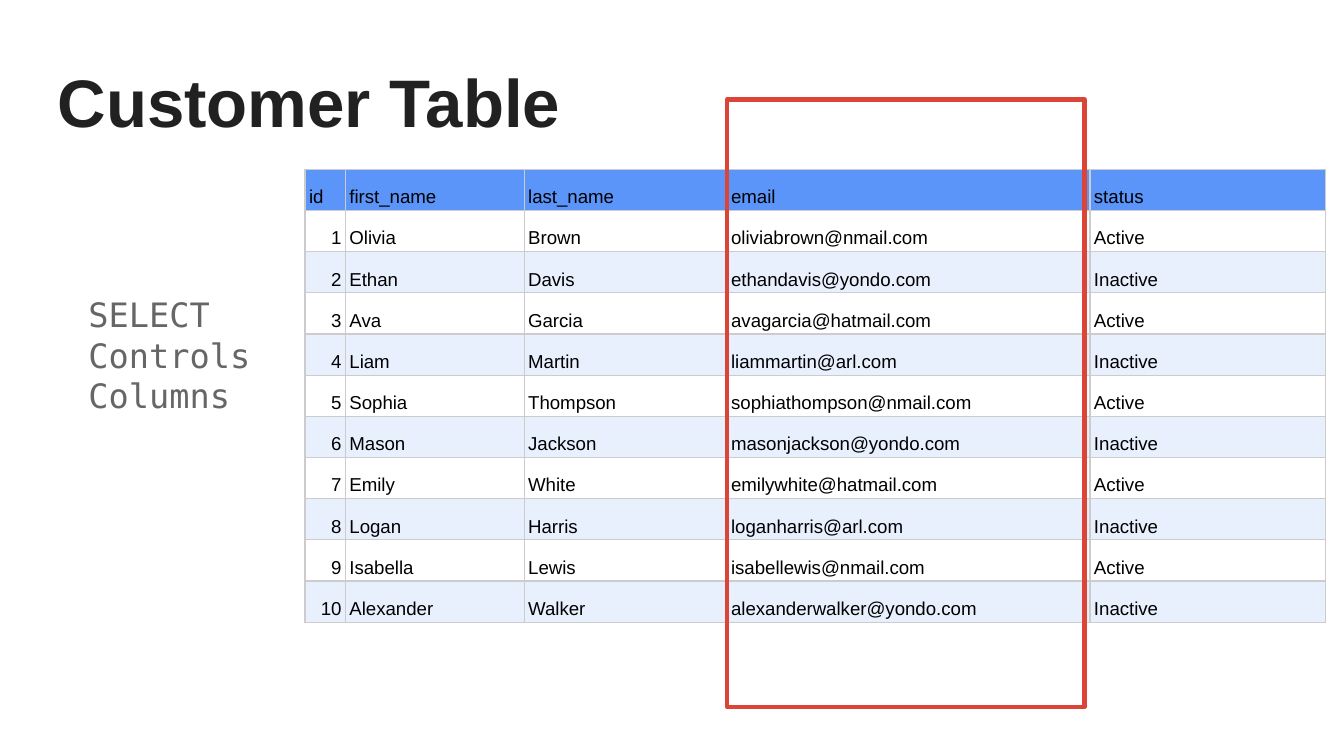
from lxml.etree import SubElement
from pptx import Presentation
from pptx.dml.color import RGBColor
from pptx.enum.shapes import MSO_SHAPE
from pptx.enum.text import MSO_ANCHOR, PP_ALIGN
from pptx.oxml import parse_xml
from pptx.oxml.ns import nsdecls, qn
from pptx.util import Inches, Pt

TITLE = "Customer Table"
CAPTION = ["SELECT", "Controls", "Columns"]
CUSTOMERS = [
    ("id", "first_name", "last_name", "email", "status"),
    ("1", "Olivia", "Brown", "oliviabrown@nmail.com", "Active"),
    ("2", "Ethan", "Davis", "ethandavis@yondo.com", "Inactive"),
    ("3", "Ava", "Garcia", "avagarcia@hatmail.com", "Active"),
    ("4", "Liam", "Martin", "liammartin@arl.com", "Inactive"),
    ("5", "Sophia", "Thompson", "sophiathompson@nmail.com", "Active"),
    ("6", "Mason", "Jackson", "masonjackson@yondo.com", "Inactive"),
    ("7", "Emily", "White", "emilywhite@hatmail.com", "Active"),
    ("8", "Logan", "Harris", "loganharris@arl.com", "Inactive"),
    ("9", "Isabella", "Lewis", "isabellewis@nmail.com", "Active"),
    ("10", "Alexander", "Walker", "alexanderwalker@yondo.com", "Inactive"),
]
COLUMN_WIDTHS = [0.3, 1.33, 1.51, 2.7, 1.75]
TABLE_LEFT, TABLE_TOP, TABLE_HEIGHT = 2.27, 1.26, 3.37

BLACK = RGBColor(0x00, 0x00, 0x00)
WHITE = RGBColor(0xFF, 0xFF, 0xFF)
DARK = RGBColor(0x21, 0x21, 0x21)
GRAY = RGBColor(0x66, 0x66, 0x66)
BLUE = RGBColor(0x5B, 0x95, 0xF9)
PALE_BLUE = RGBColor(0xE8, 0xF0, 0xFE)
RED = RGBColor(0xDB, 0x44, 0x37)
BORDER = RGBColor(0xCC, 0xCC, 0xCC)


def write_text(text_frame, lines, size, color, font="Arial", bold=False,
               align=PP_ALIGN.LEFT, spacing=None):
    for index, line in enumerate(lines):
        paragraph = text_frame.paragraphs[0] if index == 0 else text_frame.add_paragraph()
        paragraph.alignment = align
        paragraph.line_spacing = spacing
        run = paragraph.add_run()
        run.text = line
        run.font.name = font
        run.font.size = Pt(size)
        run.font.bold = bold
        run.font.color.rgb = color


def add_text_box(slide, box, lines, anchor=MSO_ANCHOR.TOP, **text_format):
    text_frame = slide.shapes.add_textbox(*map(Inches, box)).text_frame
    text_frame.word_wrap = True
    text_frame.vertical_anchor = anchor
    text_frame.margin_left = text_frame.margin_right = Inches(0.1)
    text_frame.margin_top = text_frame.margin_bottom = Inches(0.1)
    write_text(text_frame, lines, **text_format)


def add_borders(cell):
    properties = cell._tc.get_or_add_tcPr()
    for index, side in enumerate(("lnL", "lnR", "lnT", "lnB")):
        properties.insert(index, parse_xml(
            f'<a:{side} {nsdecls("a")} w="{Pt(0.75)}"><a:solidFill>'
            f'<a:srgbClr val="{BORDER}"/></a:solidFill></a:{side}>'))


def add_customer_table(slide):
    table = slide.shapes.add_table(
        len(CUSTOMERS), len(COLUMN_WIDTHS), Inches(TABLE_LEFT), Inches(TABLE_TOP),
        Inches(sum(COLUMN_WIDTHS)), Inches(TABLE_HEIGHT)).table
    for column, width in zip(table.columns, COLUMN_WIDTHS):
        column.width = Inches(width)
    for row_index, values in enumerate(CUSTOMERS):
        table.rows[row_index].height = Inches(TABLE_HEIGHT) // len(CUSTOMERS)
        fill = BLUE if row_index == 0 else (PALE_BLUE, WHITE)[row_index % 2]
        for column_index, value in enumerate(values):
            cell = table.cell(row_index, column_index)
            cell.fill.solid()
            cell.fill.fore_color.rgb = fill
            cell.vertical_anchor = MSO_ANCHOR.BOTTOM
            cell.margin_left = cell.margin_right = Inches(0.03)
            cell.margin_top = cell.margin_bottom = Inches(0.02)
            align = PP_ALIGN.RIGHT if value.isdigit() else PP_ALIGN.LEFT
            write_text(cell.text_frame, [value], size=10, color=BLACK,
                       align=align, spacing=1.15)
            add_borders(cell)


def add_column_highlight(slide):
    highlight = slide.shapes.add_shape(
        MSO_SHAPE.RECTANGLE, Inches(5.41), Inches(0.74), Inches(2.66), Inches(4.52))
    highlight.shadow.inherit = False
    highlight.fill.background()
    highlight.line.color.rgb = RED
    highlight.line.width = Pt(2.25)
    SubElement(highlight.line._get_or_add_ln(), qn("a:round"))


def main():
    presentation = Presentation()
    presentation.slide_width = Inches(10)
    presentation.slide_height = Inches(10) * 9 // 16
    slide = presentation.slides.add_slide(presentation.slide_layouts[6])
    add_text_box(slide, (0.33, 0.34, 9.34, 0.82), [TITLE], anchor=MSO_ANCHOR.MIDDLE,
                 size=36, color=DARK, bold=True)
    add_customer_table(slide)
    add_column_highlight(slide)
    add_text_box(slide, (0.56, 2.09, 1.56, 1.11), CAPTION, size=18, color=GRAY,
                 font="DejaVu Sans Mono")
    presentation.save("out.pptx")


if __name__ == "__main__":
    main()
